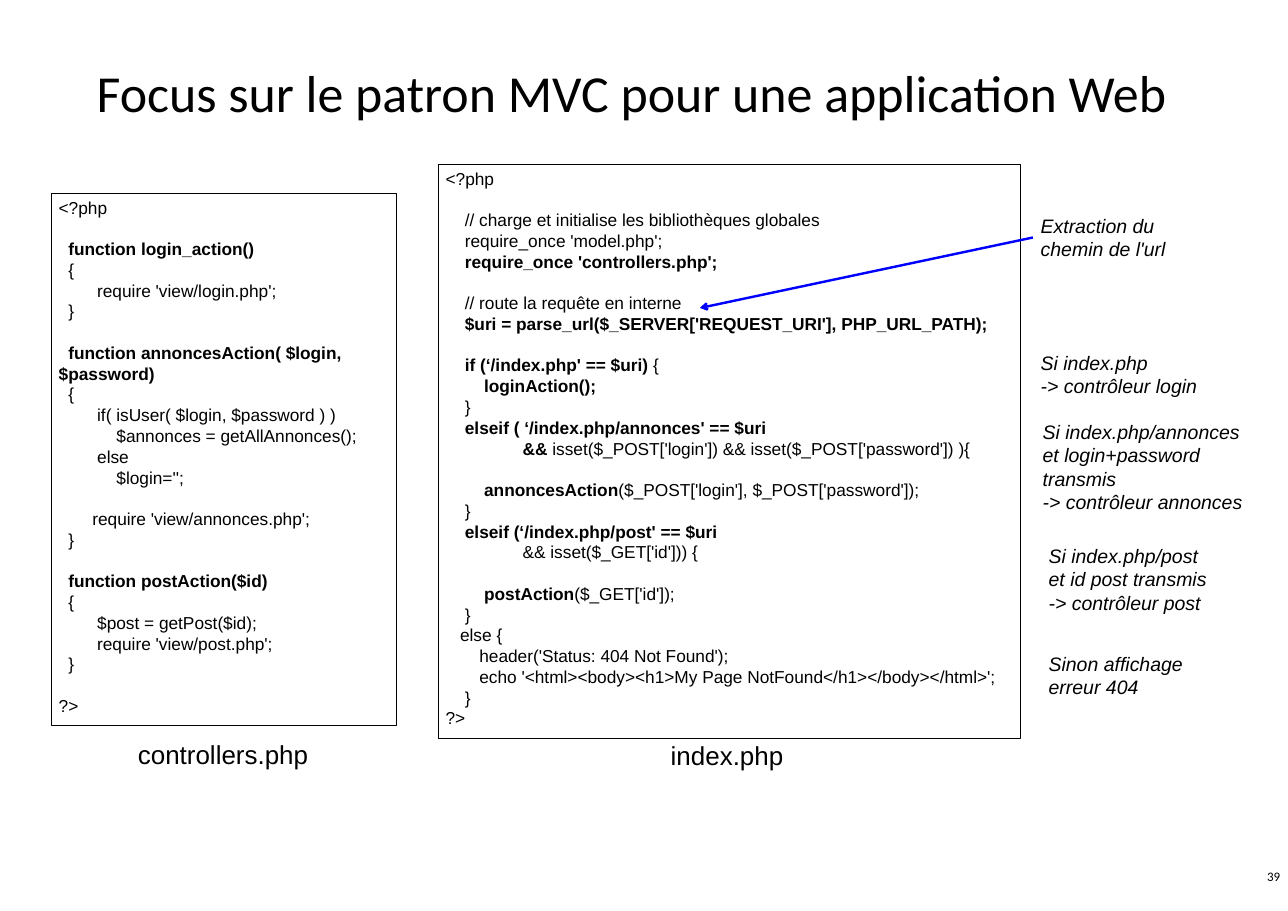
"""Builds the slide on the MVC pattern for a web application."""
from lxml import etree
from pptx import Presentation
from pptx.dml.color import RGBColor
from pptx.enum.shapes import MSO_CONNECTOR, MSO_SHAPE
from pptx.enum.text import MSO_ANCHOR, PP_ALIGN
from pptx.oxml.ns import qn
from pptx.util import Pt

PX = 11738
LEFT, CENTER, RIGHT = PP_ALIGN.LEFT, PP_ALIGN.CENTER, PP_ALIGN.RIGHT
TOP, MIDDLE = MSO_ANCHOR.TOP, MSO_ANCHOR.MIDDLE
RECTANGLE, STRAIGHT = MSO_SHAPE.RECTANGLE, MSO_CONNECTOR.STRAIGHT
LEFT_SIDE = 1
SPACE_WIDTH = 0.278
LINE_HEIGHT = 1.2
COLOURS = {"ink": "000000", "arrow": "0000FF"}

CONTROLLERS_CODE = """<?php

  **function login_action()**
  {
        require 'view/login.php';
  }

  **function annoncesAction( $login, $password)**
  {
        if( isUser( $login, $password ) )
            $annonces = getAllAnnonces();
        else
            $login='';

       require 'view/annonces.php';
  }

  **function postAction($id)**
  {
        $post = getPost($id);
        require 'view/post.php';
  }

?>"""

INDEX_CODE = """<?php

    // charge et initialise les bibliothèques globales
    require_once 'model.php';
    **require_once 'controllers.php';**

    // route la requête en interne
    **$uri = parse_url($_SERVER['REQUEST_URI'], PHP_URL_PATH);**

    **if (‘/index.php' == $uri)** {
        **loginAction();**
    }
    **elseif ( ‘/index.php/annonces' == $uri**
                **&&** isset($_POST['login']) && isset($_POST['password']) ){

        **annoncesAction**($_POST['login'], $_POST['password']);
    }
    **elseif (‘/index.php/post' == $uri**
                && isset($_GET['id'])) {

        **postAction**($_GET['id']);
    }
   else {
       header('Status: 404 Not Found');
       echo '<html><body><h1>My Page NotFound</h1></body></html>';
    }
?>"""

NOTES = [
    (1033, 210, 190, 55, "Extraction du chemin de l'url"),
    (1033, 347, 203, 55, "Si index.php\n-> contrôleur login"),
    (1035, 416, 245, 102,
     "Si index.php/annonces\net login+password transmis\n-> contrôleur annonces"),
    (1041, 540, 178, 79, "Si index.php/post et id post transmis\n-> contrôleur post"),
    (1041, 648, 192, 55, "Sinon affichage erreur 404"),
]


def write_text(shape, text, *, size, font="Arial", italic=False, align=LEFT,
               anchor=TOP, spacing=None):
    """Write lines: ** marks bold, leading spaces indent, empty lines make gaps."""
    frame = shape.text_frame
    frame.word_wrap = True
    frame.vertical_anchor = anchor
    paragraph = frame.paragraphs[0]
    gap = 0
    for number, line in enumerate(text.split("\n")):
        content = line.lstrip()
        if not content:
            gap += 1
            continue
        if number:
            paragraph = frame.add_paragraph()
        paragraph.alignment = align
        paragraph.line_spacing = spacing or Pt(size * LINE_HEIGHT)
        paragraph.space_before = Pt(gap * size * LINE_HEIGHT)
        gap = 0
        indent = Pt((len(line) - len(content)) * SPACE_WIDTH * size)
        properties = paragraph._p.get_or_add_pPr()
        properties.set("marL", "0")
        properties.set("indent", str(indent))
        for position, part in enumerate(content.split("**")):
            if part:
                run = paragraph.add_run()
                run.text = part
                run.font.name = font
                run.font.size = Pt(size)
                run.font.bold = position % 2 == 1
                run.font.italic = italic
                run.font.color.rgb = RGBColor.from_string(COLOURS["ink"])


class SlideBuilder:
    """Holds the style and the current slide."""

    def __init__(self, slide):
        """Keep the slide to draw on."""
        self.slide = slide

    def text(self, left, top, width, height, text, **style):
        """Add a text box."""
        box = self.slide.shapes.add_textbox(
            left * PX, top * PX, width * PX, height * PX)
        write_text(box, text, **style)
        return box

    def code(self, left, top, width, height, text):
        """Add an outlined code listing."""
        shape = self.slide.shapes.add_shape(
            RECTANGLE, left * PX, top * PX, width * PX, height * PX)
        shape.shadow.inherit = False
        shape.fill.background()
        shape.line.color.rgb = RGBColor.from_string(COLOURS["ink"])
        shape.line.width = Pt(0.75)
        write_text(shape, text, size=16)

    def arrow(self, source, left, top):
        """Add an arrow from the left side of a shape to a point."""
        connector = self.slide.shapes.add_connector(
            STRAIGHT, source.left, source.top, left * PX, top * PX)
        connector.begin_connect(source, LEFT_SIDE)
        connector.line.color.rgb = RGBColor.from_string(COLOURS["arrow"])
        connector.line.width = Pt(2.25)
        etree.SubElement(connector.line._get_or_add_ln(), qn("a:tailEnd"), type="arrow")
        etree.SubElement(connector._element.spPr, qn("a:effectLst"))


def main():
    """Build and save the presentation."""
    presentation = Presentation()
    presentation.slide_width = 1288 * PX
    presentation.slide_height = 911 * PX
    builder = SlideBuilder(presentation.slides.add_slide(presentation.slide_layouts[6]))

    builder.text(89, 48, 1111, 95, "Focus sur le patron MVC pour une application Web",
                 size=48, font="Calibri", anchor=MIDDLE, spacing=0.9)
    builder.text(998, 865, 290, 48, "39", size=12, font="Calibri", align=RIGHT)
    builder.code(51, 193, 345, 532, CONTROLLERS_CODE)
    builder.text(123, 735, 200, 39, "controllers.php", size=24, align=CENTER)
    builder.code(438, 164, 582, 574, INDEX_CODE)
    builder.text(627, 736, 200, 39, "index.php", size=24, align=CENTER)
    notes = [builder.text(*note, size=18, italic=True) for note in NOTES]
    builder.arrow(notes[0], 700, 308)
    presentation.save("out.pptx")


if __name__ == "__main__":
    main()
